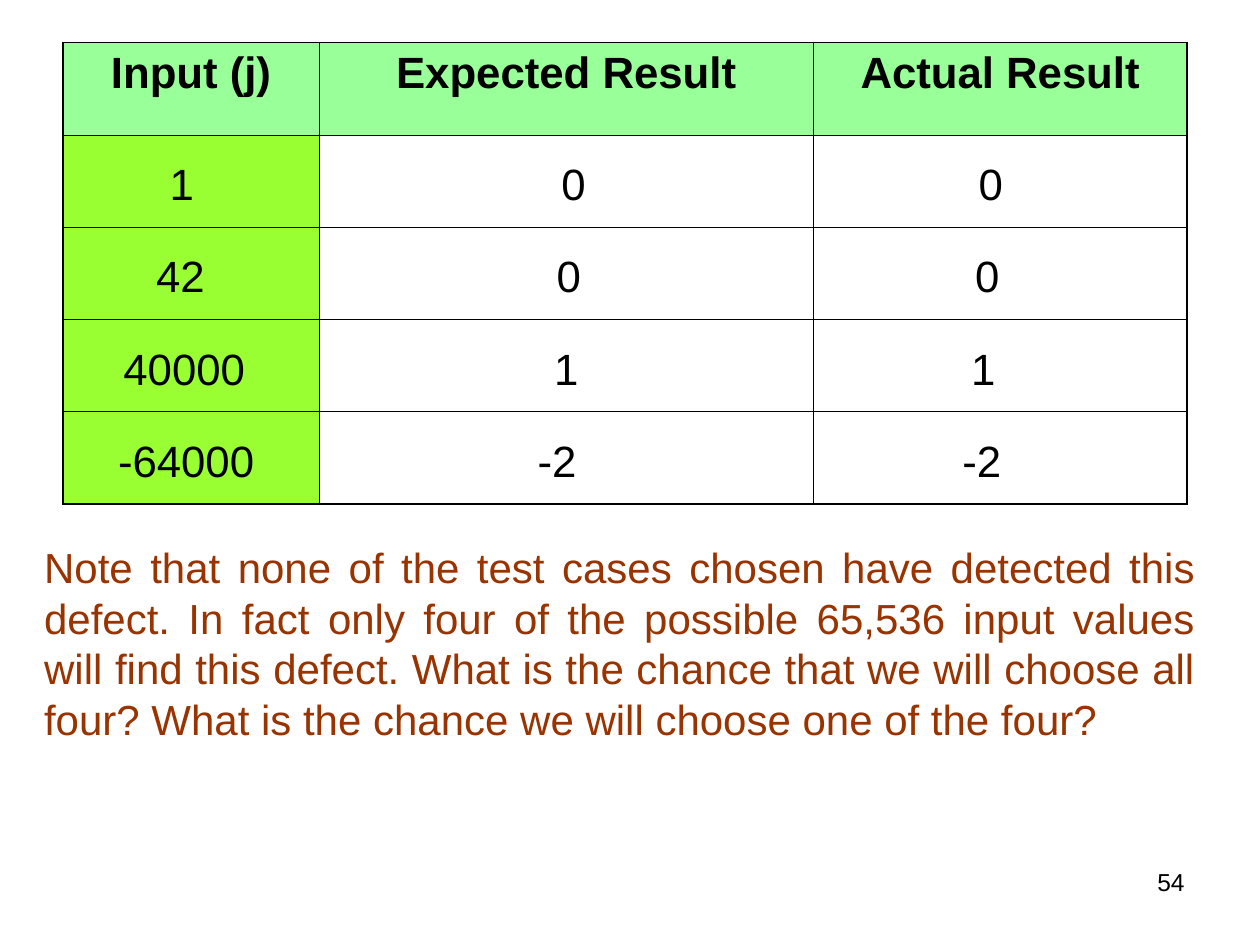
from lxml import etree
from pptx import Presentation
from pptx.dml.color import RGBColor
from pptx.enum.text import PP_ALIGN
from pptx.oxml.ns import qn
from pptx.util import Cm, Pt

LEFT, CENTER, RIGHT, JUST = (PP_ALIGN.LEFT, PP_ALIGN.CENTER,
                             PP_ALIGN.RIGHT, PP_ALIGN.JUSTIFY)
BLACK = RGBColor(0x00, 0x00, 0x00)
BROWN = RGBColor(0x99, 0x33, 0x00)
MINT = RGBColor(0x99, 0xFF, 0x99)
LIME = RGBColor(0x99, 0xFF, 0x33)
FONT = "Arial"
THIN, THICK = 0.45, 1.08

HEADS = ["Input (j)", "Expected Result", "Actual Result"]
COLS = [5.16, 9.96, 7.54]
ROW = 1.86
# Each row: value and its left offset in the table, column by column
CASES = [
    [("1", 1.9), ("0", 9.8), ("0", 18.21)],
    [("42", 1.63), ("0", 9.7), ("0", 18.14)],
    [("40000", 0.97), ("1", 9.65), ("1", 18.06)],
    [("-64000", 0.86), ("-2", 9.32), ("-2", 17.88)],
]
NOTE = ("Note that none of the test cases chosen have detected this defect. "
        "In fact only four of the possible 65,536 input values will find this "
        "defect. What is the chance that we will choose all four? What is the "
        "chance we will choose one of the four?")


def style(para, size, color=BLACK, align=LEFT, bold=False):
    para.alignment = align
    font = para.font
    font.name, font.size, font.bold = FONT, Pt(size), bold
    font.color.rgb = color


def add_text(slide, box, text, size, color=BLACK, align=LEFT, wrap=True):
    shape = slide.shapes.add_textbox(*(Cm(n) for n in box))
    frame = shape.text_frame
    frame.word_wrap = wrap
    frame.text = text
    style(frame.paragraphs[0], size, color, align)


def set_edge(cell, side, width):
    props = cell._tc.get_or_add_tcPr()
    line = etree.Element(qn("a:" + side), w=str(Pt(width)))
    fill = etree.SubElement(line, qn("a:solidFill"))
    etree.SubElement(fill, qn("a:srgbClr"), val=str(BLACK))
    return props, line


def add_edges(cell, outer):
    # Borders come before the fill in the cell properties
    for spot, side in enumerate(("lnL", "lnR", "lnT", "lnB")):
        props, line = set_edge(cell, side, THICK if side in outer else THIN)
        props.insert(spot, line)


def add_grid(slide, left, top):
    rows = len(CASES) + 1
    frame = slide.shapes.add_table(rows, len(COLS), Cm(left), Cm(top),
                                   Cm(sum(COLS)), Cm(ROW * rows))
    table = frame.table
    for col, width in zip(table.columns, COLS):
        col.width = Cm(width)
    for r, row in enumerate(table.rows):
        row.height = Cm(ROW)
        for c, cell in enumerate(row.cells):
            if r == 0 or c == 0:
                cell.fill.solid()
                cell.fill.fore_color.rgb = MINT if r == 0 else LIME
            else:
                cell.fill.background()
            rim = {"lnL": c == 0, "lnR": c == len(COLS) - 1,
                   "lnT": r == 0, "lnB": r == rows - 1}
            add_edges(cell, [side for side in rim if rim[side]])
    for cell, head in zip(table.rows[0].cells, HEADS):
        cell.text = head
        style(cell.text_frame.paragraphs[0], 25, align=CENTER, bold=True)


def add_values(slide, left, top):
    for r, case in enumerate(CASES):
        for text, shift in case:
            signs = text.count("-")
            width = 0.5 + 0.49 * (len(text) - signs) + 0.3 * signs
            box = (left + shift, top + 2.18 + ROW * r, width, 1.32)
            add_text(slide, box, text, 25, wrap=False)


def main():
    deck = Presentation()
    deck.slide_width, deck.slide_height = Cm(25.4), Cm(19.05)
    slide = deck.slides.add_slide(deck.slide_layouts[6])

    # Test case table with its values
    add_grid(slide, 1.27, 0.86)
    add_values(slide, 1.27, 0.86)

    # Remark below the table
    add_text(slide, (0.64, 10.8, 23.7, 7.82), NOTE, 24, BROWN, JUST)

    # Page number
    add_text(slide, (18.21, 17.35, 5.92, 1.32), "54", 14, align=RIGHT)

    deck.save("out.pptx")


if __name__ == "__main__":
    main()
